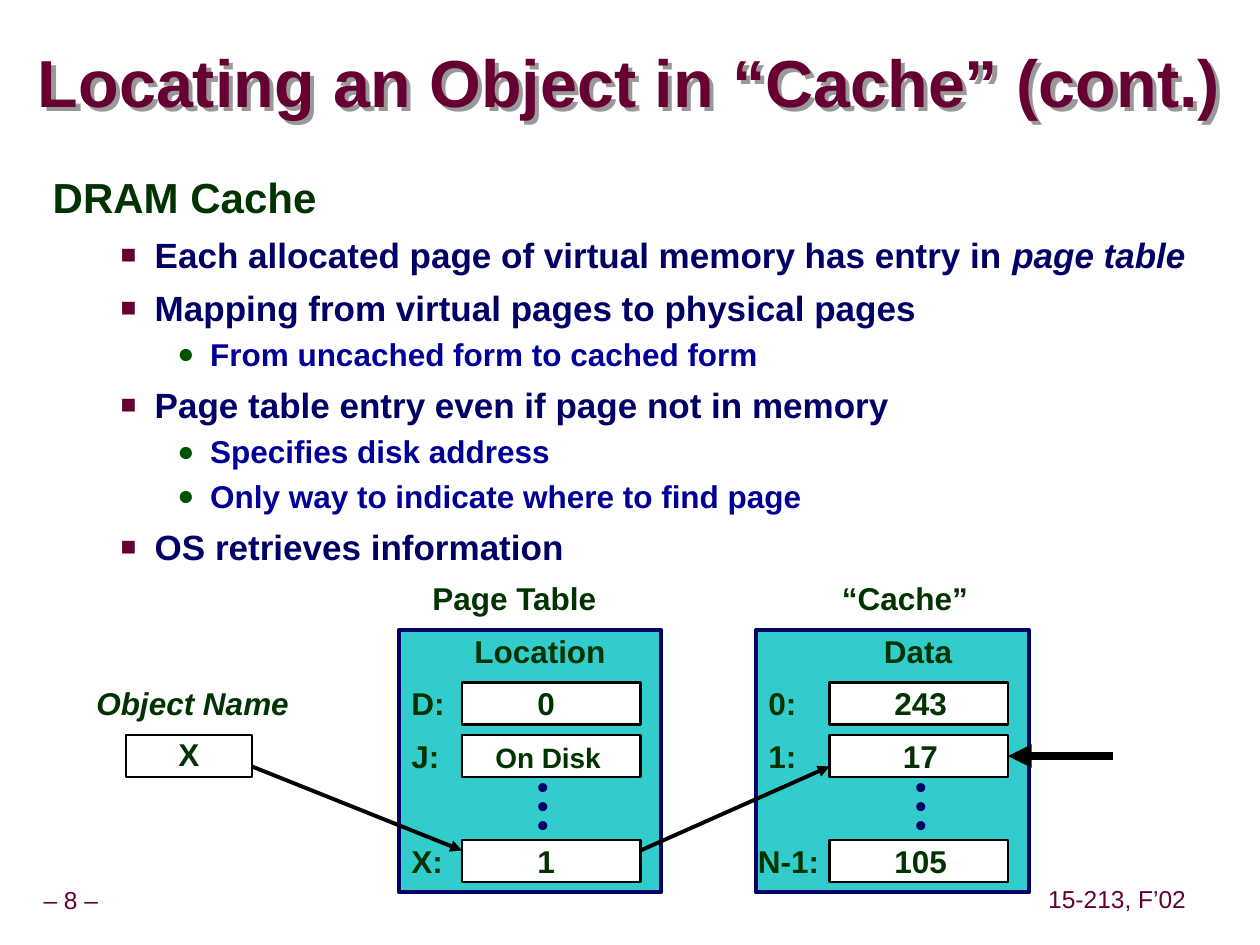
from lxml.etree import SubElement
from pptx import Presentation
from pptx.dml.color import RGBColor
from pptx.enum.shapes import MSO_CONNECTOR, MSO_SHAPE
from pptx.enum.text import MSO_ANCHOR, MSO_AUTO_SIZE, PP_ALIGN
from pptx.oxml.ns import qn
from pptx.util import Inches, Pt

COLORS = {
    "maroon": "660033", "green": "003300", "navy": "000066",
    "blue": "000099", "dot": "005400", "teal": "33CCCC",
    "white": "FFFFFF", "black": "000000", "shadow": "999999",
}
FONT = "Arial"
GRID = Inches(10) / 120  # the slide is 120 columns by 90 rows
HEADER_ROW, FIRST_ROW, SECOND_ROW, LAST_ROW = 60, 65, 70, 80
CELL_WIDTH, CELL_HEIGHT = 17, 4

# Level: size, colour, indent, hanging, space before, line spacing, bullet
LEVELS = [
    (24, "green", 0.42, 0.42, 15, 0.95, None),
    (20, "navy", 0.81, 0.27, 6.2, None, ("■", "maroon", 75)),
    (18, "blue", 1.25, 0.26, 2.2, 1.07, ("●", "dot", 90)),
]
OUTLINE = [
    (0, "DRAM Cache", ""),
    (1, "Each allocated page of virtual memory has entry in ", "page table"),
    (1, "Mapping from virtual pages to physical pages", ""),
    (2, "From uncached form to cached form", ""),
    (1, "Page table entry even if page not in memory", ""),
    (2, "Specifies disk address", ""),
    (2, "Only way to indicate where to find page", ""),
    (1, "OS retrieves information", ""),
]


def grid(*cells):
    return [round(cell * GRID) for cell in cells]


def rgb(name):
    return RGBColor.from_string(COLORS[name])


def set_font(font, size, color, bold=True, italic=False):
    font.name, font.size = FONT, Pt(size)
    font.bold, font.italic = bold, italic
    font.color.rgb = rgb(color)


def set_margins(frame, horizontal, vertical):
    frame.margin_left = frame.margin_right = Inches(horizontal)
    frame.margin_top = frame.margin_bottom = Inches(vertical)


def add_label(slide, text, left, top, width, height=4.4, *, size=18, color="green",
              bold=True, italic=False, align=PP_ALIGN.LEFT, spacing=0.9,
              margin=0.1, anchor=MSO_ANCHOR.TOP):
    box = slide.shapes.add_textbox(*grid(left, top, width, height))
    frame = box.text_frame
    frame.word_wrap = False
    frame.auto_size = MSO_AUTO_SIZE.SHAPE_TO_FIT_TEXT
    frame.vertical_anchor = anchor
    set_margins(frame, margin, 0.05)
    frame.text = text
    for paragraph in frame.paragraphs:
        paragraph.alignment = align
        paragraph.line_spacing = spacing
        set_font(paragraph.runs[0].font, size, color, bold, italic)


def add_box(slide, left, top, width, height, fill=None, line="black", weight=1.5):
    box = slide.shapes.add_shape(MSO_SHAPE.RECTANGLE, *grid(left, top, width, height))
    box.shadow.inherit = False
    if fill:
        box.fill.solid()
        box.fill.fore_color.rgb = rgb(fill)
    else:
        box.fill.background()
    box.line.color.rgb = rgb(line)
    box.line.width = Pt(weight)
    return box


def add_arrow(slide, start, end, weight=2.25, target=None):
    arrow = slide.shapes.add_connector(MSO_CONNECTOR.STRAIGHT, *grid(*start, *end))
    if target is not None:
        arrow.end_connect(target, 3)
    arrow.line.color.rgb = rgb("black")
    arrow.line.width = Pt(weight)
    SubElement(arrow.line._get_or_add_ln(), qn("a:tailEnd"), type="triangle")
    SubElement(arrow._element.spPr, qn("a:effectLst"))


def add_store(slide, left, width, cells_left, heading, column, dots_left, entries):
    """Draw a panel with its headings, three cells and an ellipsis."""
    add_box(slide, left, HEADER_ROW, width, 25, "teal", "navy", 2.25)
    add_label(slide, heading[0], heading[1], 55, heading[2])
    add_label(slide, column[0], column[1], HEADER_ROW, column[2])
    add_label(slide, "•\n•\n•", dots_left, 74, 3.2, 6.6, color="navy",
              align=PP_ALIGN.CENTER, spacing=0.5)
    cells = []
    for row, (key, key_left, key_width, value, value_left, value_width, size) in zip(
            (FIRST_ROW, SECOND_ROW, LAST_ROW), entries):
        cells.append(add_box(slide, cells_left, row, CELL_WIDTH, CELL_HEIGHT, "white"))
        add_label(slide, key, key_left, row, key_width)
        # Smaller text sits a little lower to stay centred in its cell
        add_label(slide, value, value_left, row + (18 - size) * 0.16, value_width,
                  size=size)
    return cells


def add_title(slide):
    title = slide.shapes.title
    title.left, title.top = Inches(0.3), Inches(0.37)
    title.width, title.height = Inches(9.53), Inches(0.63)
    frame = title.text_frame
    frame.text = "Locating an Object in “Cache” (cont.)"
    frame.word_wrap = True
    frame.auto_size = MSO_AUTO_SIZE.NONE
    frame.vertical_anchor = MSO_ANCHOR.MIDDLE
    set_margins(frame, 0, 0)
    paragraph = frame.paragraphs[0]
    paragraph.alignment = PP_ALIGN.LEFT
    paragraph.line_spacing = 0.87
    set_font(paragraph.runs[0].font, 38, "maroon")
    # Shadow behind the letters
    effects = SubElement(title._element.spPr, qn("a:effectLst"))
    shadow = SubElement(effects, qn("a:outerShdw"), dist=str(Pt(3.5)), dir="2700000")
    SubElement(shadow, qn("a:srgbClr"), val=COLORS["shadow"])


def add_outline(slide):
    box = slide.shapes.add_textbox(Inches(0.32), Inches(1.34), Inches(9.27), Inches(5.71))
    frame = box.text_frame
    frame.word_wrap = True
    set_margins(frame, 0.1, 0.05)
    for index, (level, text, emphasis) in enumerate(OUTLINE):
        size, color, indent, hanging, before, spacing, bullet = LEVELS[level]
        paragraph = frame.add_paragraph() if index else frame.paragraphs[0]
        paragraph.level = level
        properties = paragraph._p.get_or_add_pPr()
        properties.set("marL", str(Inches(indent)))
        properties.set("indent", str(-Inches(hanging)))
        if bullet:
            mark, mark_color, share = bullet
            tint = SubElement(properties, qn("a:buClr"))
            SubElement(tint, qn("a:srgbClr"), val=COLORS[mark_color])
            SubElement(properties, qn("a:buSzPct"), val=str(share * 1000))
            SubElement(properties, qn("a:buFont"), typeface=FONT)
            SubElement(properties, qn("a:buChar"), char=mark)
        if index:
            paragraph.space_before = Pt(before)
        if spacing:
            paragraph.line_spacing = spacing
        for part, italic in ((text, False), (emphasis, True)):
            if part:
                run = paragraph.add_run()
                run.text = part
                set_font(run.font, size, color, italic=italic)


def main():
    deck = Presentation()
    deck.slide_width, deck.slide_height = Inches(10), Inches(7.5)
    slide = deck.slides.add_slide(deck.slide_layouts[5])

    # Footer and title
    footer = dict(size=14, color="maroon", bold=False, align=PP_ALIGN.CENTER,
                  margin=0.05, anchor=MSO_ANCHOR.MIDDLE)
    add_label(slide, "– 8 –", -1.1, 84, 15.7, 3.7, **footer)
    add_label(slide, "15-213, F’02", 99.2, 83.9, 14.4, 3.7, **footer)
    add_title(slide)

    # Cache and page table
    cache_cells = add_store(
        slide, 72, 26, 79, ("“Cache”", 79, 14.5), ("Data", 83, 9), 86,
        [("0:", 72, 5.3, "243", 84, 7.5, 18),
         ("1:", 72, 5.3, "17", 84.8, 5.9, 18),
         ("N-1:", 71, 8.4, "105", 84, 7.5, 18)])
    add_store(
        slide, 38, 25, 44, ("Page Table", 40, 18.3), ("Location", 44, 15), 50,
        [("D:", 38, 5.8, "0", 50, 4.2, 18),
         ("J:", 38, 5.3, "On Disk", 46, 12.5, 16),
         ("X:", 38, 5.6, "1", 50, 4.2, 18)])

    # Object name
    add_box(slide, 12, SECOND_ROW, 12, CELL_HEIGHT)
    add_label(slide, "X", 15.8, 69.8, 4.5)
    add_label(slide, "Object Name", 8, FIRST_ROW, 20.9, italic=True)

    # Lookup path
    add_arrow(slide, (24, 73), (44, 81))
    add_arrow(slide, (61, 81), (79, 73))
    add_arrow(slide, (106, 72), (96, 72), weight=4.5, target=cache_cells[1])

    add_outline(slide)
    deck.save("out.pptx")


if __name__ == "__main__":
    main()
